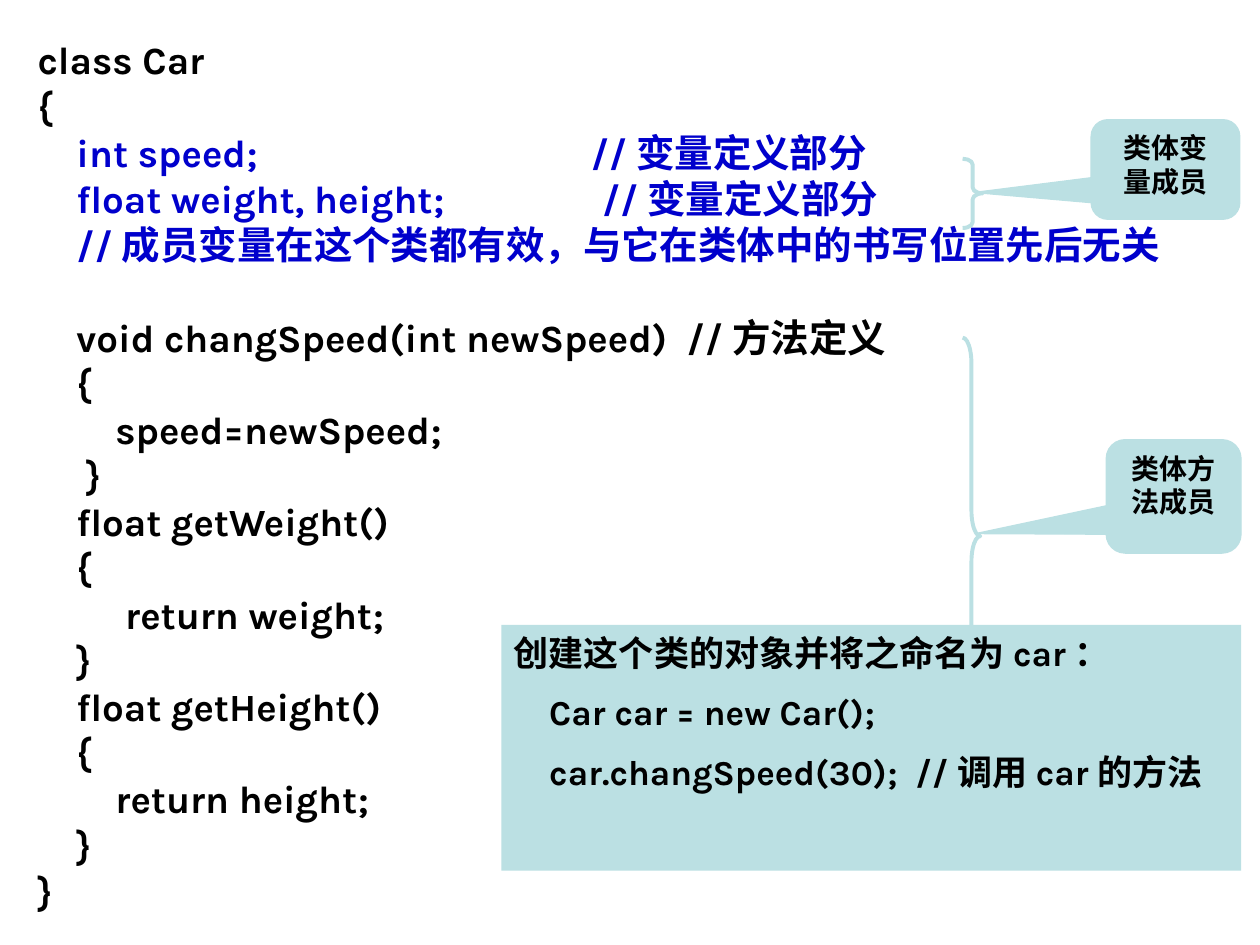
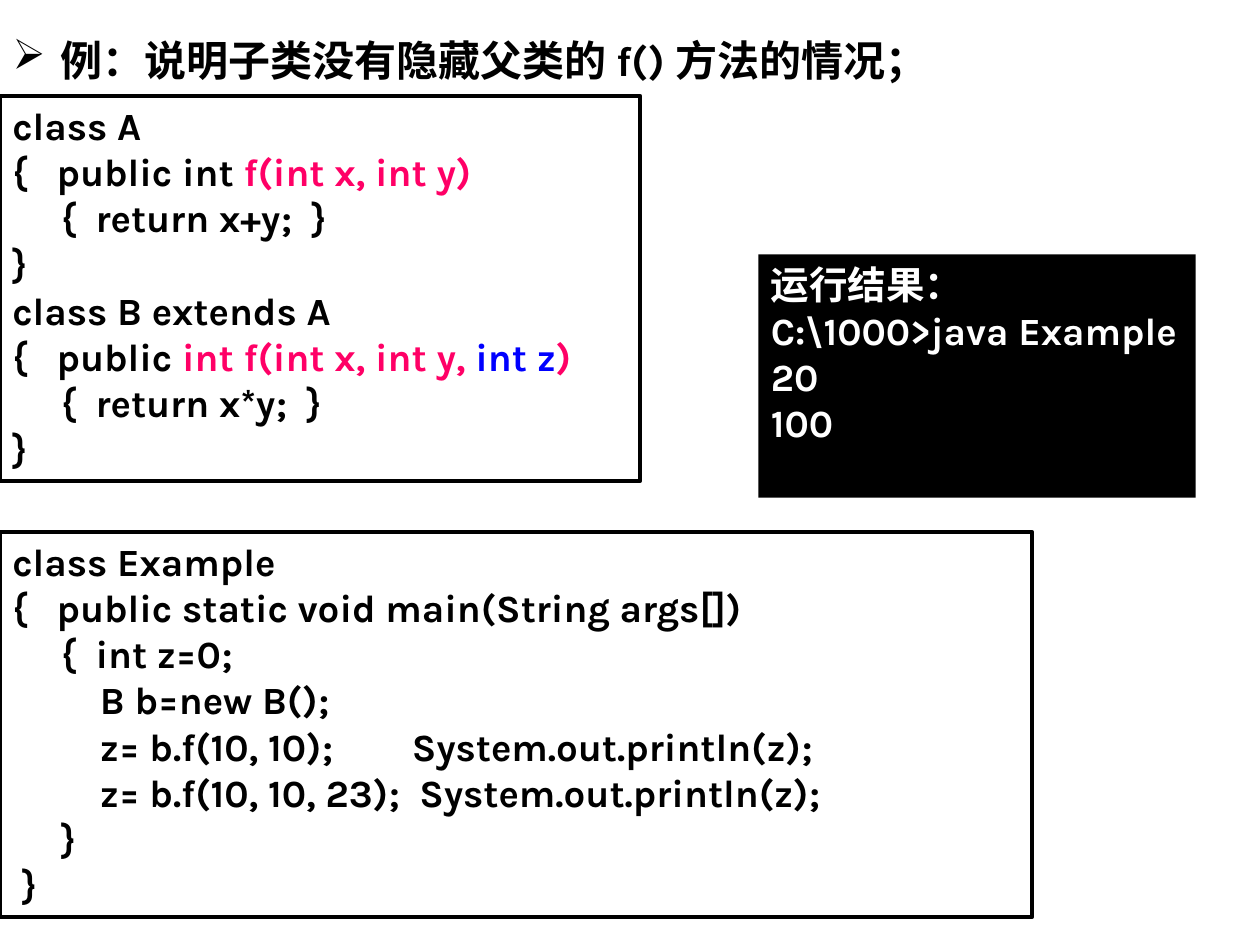
"""Build two slides on Java class members and on method overloading in a subclass."""
from dataclasses import dataclass

from lxml.etree import SubElement
from pptx import Presentation
from pptx.dml.color import RGBColor
from pptx.enum.shapes import MSO_SHAPE
from pptx.enum.text import MSO_ANCHOR, MSO_AUTO_SIZE, PP_ALIGN
from pptx.oxml.ns import qn
from pptx.util import Inches, Pt


@dataclass(frozen=True)
class Theme:
    font: str = "Karla"
    black: str = "000000"
    white: str = "FFFFFF"
    teal: str = "BBE0E3"
    member: str = "0000CC"
    pink: str = "FF0066"
    blue: str = "0000FF"
    title: int = 24
    code: int = 22
    usage: int = 20
    label: int = 16
    thin: float = 0.75
    thick: float = 2.25


THEME = Theme()

CAR_HEAD = ["class Car", "{"]
CAR_FIELDS = [
    "    int speed;\t//变量定义部分",
    "    float weight, height;\t//变量定义部分",
    "    //成员变量在这个类都有效，与它在类体中的书写位置先后无关",
]
CAR_METHODS = [
    "    void changSpeed(int newSpeed)  //方法定义",
    "    {",
    "        speed=newSpeed;",
    "     }",
    "    float getWeight()",
    "    {",
    "         return weight;",
    "    }",
    "    float getHeight()",
    "    {",
    "        return height;",
    "    }",
    "}",
]
CAR_CLASS = CAR_HEAD + [[(line, THEME.member)] for line in CAR_FIELDS] + CAR_METHODS
METHODS_START = len(CAR_HEAD) + len(CAR_FIELDS)
CAR_TABS = {2: 4.39, 3: 4.48}

CAR_USAGE = [
    "创建这个类的对象并将之命名为car：",
    "    Car car = new Car();",
    "    car.changSpeed(30);  //调用car的方法",
]

MEMBER_GROUPS = [
    {
        "label": ["类体方", "法成员"],
        "callout": (8.78, 3.49, 1.07, 0.9),
        "pointer": (-1.466, 0.328, 0.167),
        "brace": (7.64, 2.68, 0.14, 3.15),
        "curve": (1.454, 0.5),
    },
    {
        "label": ["类体变", "量成员"],
        "callout": (8.66, 0.95, 1.18, 0.79),
        "pointer": (-1.287, 0.231, 0.167),
        "brace": (7.64, 1.26, 0.16, 0.55),
        "curve": (0.294, 0.5),
    },
]

OVERLOAD_TITLE = "例：说明子类没有隐藏父类的f()方法的情况；"
PARENT_AND_CHILD = [
    "class A",
    [("{   public int ", THEME.black), ("f(int x, int y)", THEME.pink)],
    "     {  return x+y;  }",
    "}",
    "class B extends A",
    [
        ("{   public ", THEME.black),
        ("int f(int x, int y, ", THEME.pink),
        ("int z", THEME.blue),
        (")", THEME.pink),
    ],
    "     {  return x*y;  }",
    "}",
]
EXAMPLE_CLASS = [
    "class Example",
    "{   public static void main(String args[])",
    "     {  int z=0;",
    "         B b=new B();",
    "         z= b.f(10, 10);\tSystem.out.println(z);",
    "         z= b.f(10, 10, 23);\tSystem.out.println(z);",
    "     }",
    " }",
]
EXAMPLE_TABS = {4: 3.17, 5: 3.23}
RUN_RESULT = ["运行结果：", "C:\\1000>java Example", "20", "100"]


def place(area):
    return [Inches(value) for value in area]


def format_font(span, size, color):
    span.font.name = THEME.font
    span.font.size = Pt(size)
    span.font.bold = True
    span.font.color.rgb = RGBColor.from_string(color)


def add_tab(para, position):
    stops = SubElement(para._p.get_or_add_pPr(), qn("a:tabLst"))
    SubElement(stops, qn("a:tab"), pos=str(Inches(position)), algn="l")


def write_lines(box, lines, size=THEME.code, color=THEME.black,
                align=PP_ALIGN.LEFT, gaps=None, tabs=None):
    frame = box.text_frame
    frame.word_wrap = True
    frame.auto_size = MSO_AUTO_SIZE.NONE
    frame.vertical_anchor = MSO_ANCHOR.TOP
    for index, line in enumerate(lines):
        para = frame.add_paragraph() if index else frame.paragraphs[0]
        para.alignment = align
        para.space_before = Pt((gaps or {}).get(index, 0))
        if tabs and index in tabs:
            add_tab(para, tabs[index])
        for text, shade in [(line, color)] if isinstance(line, str) else line:
            span = para.add_run()
            span.text = text
            format_font(span, size, shade)


def add_figure(page, preset, area, fill=None, line=None, width=THEME.thin, adjust=()):
    figure = page.shapes.add_shape(preset, *place(area))
    figure.shadow.inherit = False
    for index, value in enumerate(adjust):
        figure.adjustments[index] = value
    if fill:
        figure.fill.solid()
        figure.fill.fore_color.rgb = RGBColor.from_string(fill)
    else:
        figure.fill.background()
    if line:
        figure.line.color.rgb = RGBColor.from_string(line)
        figure.line.width = Pt(width)
    else:
        figure.line.fill.background()
    return figure


def add_member_group(page, group):
    callout = add_figure(page, MSO_SHAPE.ROUNDED_RECTANGULAR_CALLOUT, group["callout"],
                         THEME.teal, THEME.teal, adjust=group["pointer"])
    write_lines(callout, group["label"], THEME.label, align=PP_ALIGN.CENTER)
    add_figure(page, MSO_SHAPE.RIGHT_BRACE, group["brace"], line=THEME.teal,
               width=THEME.thick, adjust=group["curve"])


def add_code_panel(page, area, lines, tabs=None):
    panel = add_figure(page, MSO_SHAPE.RECTANGLE, area, line=THEME.black, width=THEME.thick)
    write_lines(panel, lines, tabs=tabs)


def add_bulleted_title(page, text):
    title = page.shapes.title
    title.left, title.top, title.width, title.height = place((0, 0.22, 8.58, 0.5))
    write_lines(title, [text], THEME.title)
    properties = title.text_frame.paragraphs[0]._p.get_or_add_pPr()
    properties.set("marL", str(Inches(0.38)))
    properties.set("indent", str(Inches(-0.38)))
    SubElement(properties, qn("a:buChar"), char="➢")


def build_car_page(deck):
    page = deck.slides.add_slide(deck.slide_layouts[6])
    code = page.shapes.add_textbox(*place((0.2, 0.24, 9.29, 7.14)))
    write_lines(code, CAR_CLASS, gaps={METHODS_START: 26.4}, tabs=CAR_TABS)
    for group in MEMBER_GROUPS:
        add_member_group(page, group)
    usage = add_figure(page, MSO_SHAPE.RECTANGLE, (3.98, 4.96, 5.87, 1.95), THEME.teal)
    write_lines(usage, CAR_USAGE, THEME.usage, gaps={1: 10, 2: 10})


def build_overload_page(deck):
    page = deck.slides.add_slide(deck.slide_layouts[5])
    add_bulleted_title(page, OVERLOAD_TITLE)
    add_code_panel(page, (0, 0.76, 5.08, 3.06), PARENT_AND_CHILD)
    add_code_panel(page, (0, 4.22, 8.19, 3.06), EXAMPLE_CLASS, EXAMPLE_TABS)
    console = add_figure(page, MSO_SHAPE.RECTANGLE, (6.02, 2.02, 3.47, 1.93), THEME.black)
    write_lines(console, RUN_RESULT, color=THEME.white)


def main():
    deck = Presentation()
    deck.slide_width, deck.slide_height = place((10, 7.5))
    build_car_page(deck)
    build_overload_page(deck)
    deck.save("out.pptx")


if __name__ == "__main__":
    main()
